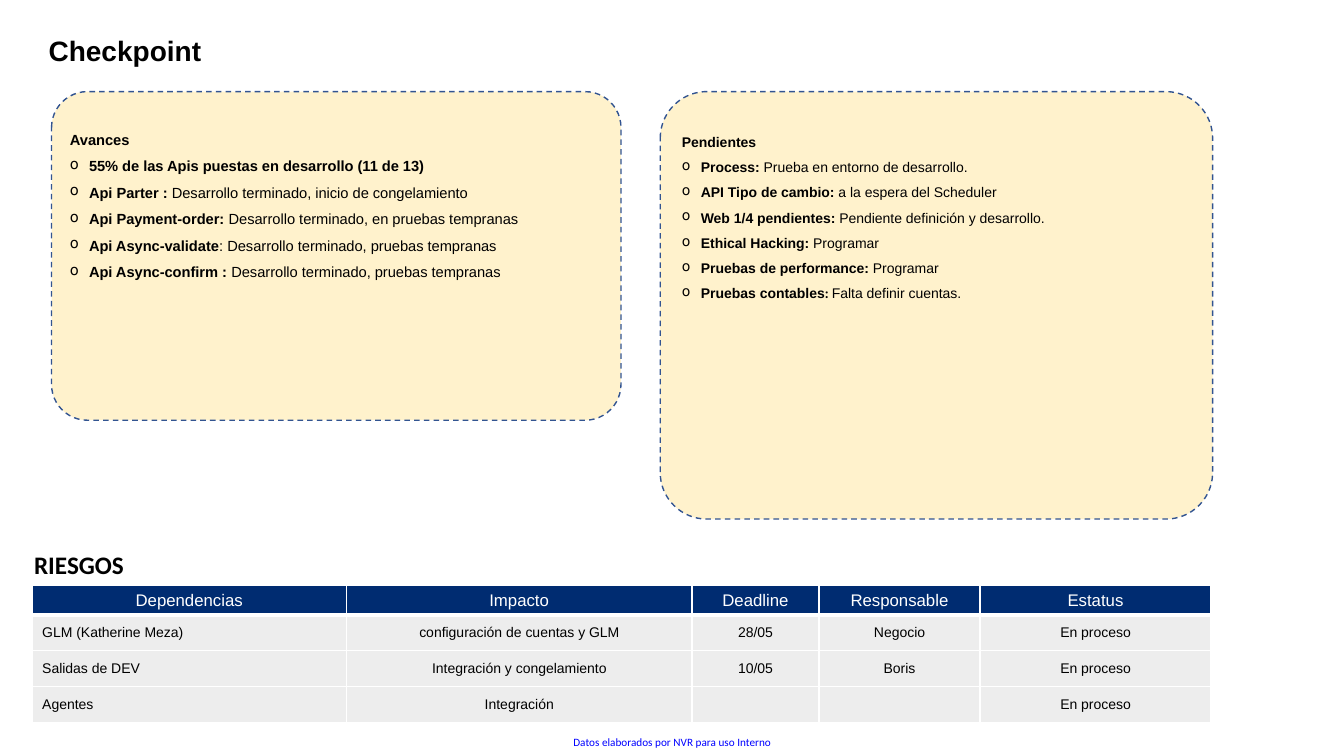
from dataclasses import dataclass

from lxml.etree import SubElement
from pptx import Presentation
from pptx.dml.color import RGBColor
from pptx.enum.dml import MSO_LINE
from pptx.enum.shapes import MSO_SHAPE
from pptx.enum.text import MSO_ANCHOR, MSO_AUTO_SIZE, PP_ALIGN
from pptx.oxml.ns import qn
from pptx.slide import Slide
from pptx.table import _Cell as Cell
from pptx.text.text import TextFrame, _Paragraph as Paragraph
from pptx.util import Cm, Pt

BLACK = RGBColor(0x00, 0x00, 0x00)
WHITE = RGBColor(0xFF, 0xFF, 0xFF)
BLUE = RGBColor(0x00, 0x00, 0xFF)
NAVY = RGBColor(0x00, 0x2C, 0x71)
GRAY = RGBColor(0xED, 0xED, 0xED)
CREAM = RGBColor(0xFF, 0xF2, 0xCC)
OUTLINE = RGBColor(0x32, 0x54, 0x91)


@dataclass(frozen=True)
class Box:
    left: float
    top: float
    width: float
    height: float

    def lengths(self) -> tuple[Cm, Cm, Cm, Cm]:
        return Cm(self.left), Cm(self.top), Cm(self.width), Cm(self.height)


@dataclass(frozen=True)
class Item:
    label: str
    detail: str = ""
    separator: str = ""


@dataclass(frozen=True)
class Panel:
    box: Box
    heading: str
    size: float
    items: tuple[Item, ...]


@dataclass(frozen=True)
class Label:
    box: Box
    text: str
    size: float
    color: RGBColor
    bold: bool
    margins: tuple[float, float]


PANELS = (
    Panel(Box(16.64, 2.31, 13.92, 10.77), "Pendientes", 10, (
        Item("Process: ", "Prueba en entorno de desarrollo."),
        Item("API Tipo de cambio:", " a la espera del Scheduler"),
        Item("Web 1/4 pendientes: ", "Pendiente definición y desarrollo."),
        Item("Ethical Hacking: ", "Programar"),
        Item("Pruebas de performance:", " Programar"),
        Item("Pruebas contables", "Falta definir cuentas.", ": "),
    )),
    Panel(Box(1.3, 2.31, 14.35, 8.28), "Avances", 10.5, (
        Item("55% de las Apis puestas en desarrollo (11 de 13)"),
        Item("Api Parter : ", "Desarrollo terminado, inicio de congelamiento"),
        Item("Api Payment-order: ", "Desarrollo terminado, en pruebas tempranas"),
        Item("Api Async-validate", ": Desarrollo terminado, pruebas tempranas"),
        Item("Api Async-confirm : ", "Desarrollo terminado, pruebas tempranas"),
    )),
)
LABELS = (
    Label(Box(0.61, 13.72, 2.79, 1.02), "RIESGOS", 18, BLACK, True, (0.25, 0.13)),
    Label(Box(14.45, 18.54, 5, 0.33), "Datos elaborados por NVR para uso Interno",
          8, BLUE, False, (0, 0)),
)
COLUMN_WIDTHS = (7.92, 8.71, 3.2, 4.06, 5.82)
HEADER_HEIGHT, ROW_HEIGHT = 0.74, 0.9
RISKS = (
    ("Dependencias", "Impacto", "Deadline", "Responsable", "Estatus"),
    ("GLM (Katherine Meza)", "configuración de cuentas y GLM", "28/05", "Negocio", "En proceso"),
    ("Salidas de DEV", "Integración y congelamiento", "10/05", "Boris", "En proceso"),
    ("Agentes", "Integración", "", "", "En proceso"),
)


def style(paragraph: Paragraph, size: float, color: RGBColor = BLACK,
          bold: bool = False, name: str = "Arial") -> None:
    font = paragraph.font
    font.name, font.size, font.bold = name, Pt(size), bold
    font.color.rgb = color


def set_margins(frame: TextFrame, left: float, top: float, right: float, bottom: float) -> None:
    frame.margin_left, frame.margin_top = Cm(left), Cm(top)
    frame.margin_right, frame.margin_bottom = Cm(right), Cm(bottom)


def add_bullet(paragraph: Paragraph) -> None:
    properties = paragraph._p.get_or_add_pPr()
    properties.set("marL", str(Cm(0.48)))
    properties.set("indent", str(-Cm(0.48)))
    bullet = SubElement(properties, qn("a:buChar"))
    bullet.set("char", "o")


def add_item(frame: TextFrame, item: Item, size: float) -> None:
    paragraph = frame.add_paragraph()
    paragraph.line_spacing = 1.5
    add_bullet(paragraph)
    style(paragraph, size)
    for text, bold in ((item.label, True), (item.separator, True), (item.detail, False)):
        if text:
            run = paragraph.add_run()
            run.text, run.font.bold = text, bold
            if text == item.separator:
                run.font.name = "Calibri"


def add_panel(slide: Slide, panel: Panel) -> None:
    shape = slide.shapes.add_shape(MSO_SHAPE.ROUNDED_RECTANGLE, *panel.box.lengths())
    shape.adjustments[0] = 0.109
    shape.shadow.inherit = False
    shape.fill.solid()
    shape.fill.fore_color.rgb = CREAM
    shape.line.color.rgb = OUTLINE
    shape.line.width = Pt(1)
    shape.line.dash_style = MSO_LINE.DASH
    frame = shape.text_frame
    frame.word_wrap = True
    frame.vertical_anchor = MSO_ANCHOR.TOP
    set_margins(frame, 0.2, 0.5, 0, 0.13)
    heading = frame.paragraphs[0]
    heading.text = panel.heading
    heading.line_spacing = 1.5
    style(heading, panel.size, bold=True)
    for item in panel.items:
        add_item(frame, item, panel.size)
    for paragraph in frame.paragraphs:
        paragraph.alignment = PP_ALIGN.LEFT


def add_label(slide: Slide, label: Label) -> None:
    frame = slide.shapes.add_textbox(*label.box.lengths()).text_frame
    frame.word_wrap = False
    set_margins(frame, *label.margins, *label.margins)
    frame.text = label.text
    style(frame.paragraphs[0], label.size, label.color, label.bold, "Calibri")


def add_border(cell: Cell, side: str, width: float) -> None:
    line = SubElement(cell._tc.get_or_add_tcPr(), qn(f"a:ln{side}"))
    line.set("w", str(Pt(width)))
    color = SubElement(SubElement(line, qn("a:solidFill")), qn("a:srgbClr"))
    color.set("val", str(WHITE))


def fill_cell(cell: Cell, text: str, header: bool, centered: bool, below_header: bool) -> None:
    for side in "LRTB":
        thick = (header and side == "B") or (below_header and side == "T")
        add_border(cell, side, 3 if thick else 1)
    cell.fill.solid()
    cell.fill.fore_color.rgb = NAVY if header else GRAY
    cell.vertical_anchor = MSO_ANCHOR.MIDDLE
    cell.margin_top = cell.margin_bottom = 0
    cell.text = text
    paragraph = cell.text_frame.paragraphs[0]
    paragraph.alignment = PP_ALIGN.CENTER if centered else PP_ALIGN.LEFT
    style(paragraph, 12 if header else 10, WHITE if header else BLACK)


def add_risks(slide: Slide) -> None:
    height = HEADER_HEIGHT + ROW_HEIGHT * (len(RISKS) - 1)
    box = Box(0.81, 14.76, sum(COLUMN_WIDTHS), height)
    table = slide.shapes.add_table(len(RISKS), len(COLUMN_WIDTHS), *box.lengths()).table
    table.first_row = table.horz_banding = False
    for column, width in zip(table.columns, COLUMN_WIDTHS):
        column.width = Cm(width)
    for index, texts in enumerate(RISKS):
        header = index == 0
        table.rows[index].height = Cm(HEADER_HEIGHT if header else ROW_HEIGHT)
        for position, text in enumerate(texts):
            fill_cell(table.cell(index, position), text, header, header or position > 0, index == 1)


def add_title(slide: Slide) -> None:
    title = slide.shapes.title
    title.left, title.top, title.width, title.height = Box(0.97, 0.86, 13.92, 0.91).lengths()
    frame = title.text_frame
    frame.text = "Checkpoint"
    frame.auto_size = MSO_AUTO_SIZE.NONE
    frame.vertical_anchor = MSO_ANCHOR.MIDDLE
    paragraph = frame.paragraphs[0]
    paragraph.alignment = PP_ALIGN.LEFT
    paragraph.line_spacing = 0.9
    style(paragraph, 20, bold=True)


def main() -> None:
    presentation = Presentation()
    presentation.slide_width, presentation.slide_height = Cm(33.87), Cm(19.05)
    slide = presentation.slides.add_slide(presentation.slide_layouts[5])
    add_title(slide)
    for panel in PANELS:
        add_panel(slide, panel)
    add_risks(slide)
    for label in LABELS:
        add_label(slide, label)
    presentation.save("out.pptx")


if __name__ == "__main__":
    main()
